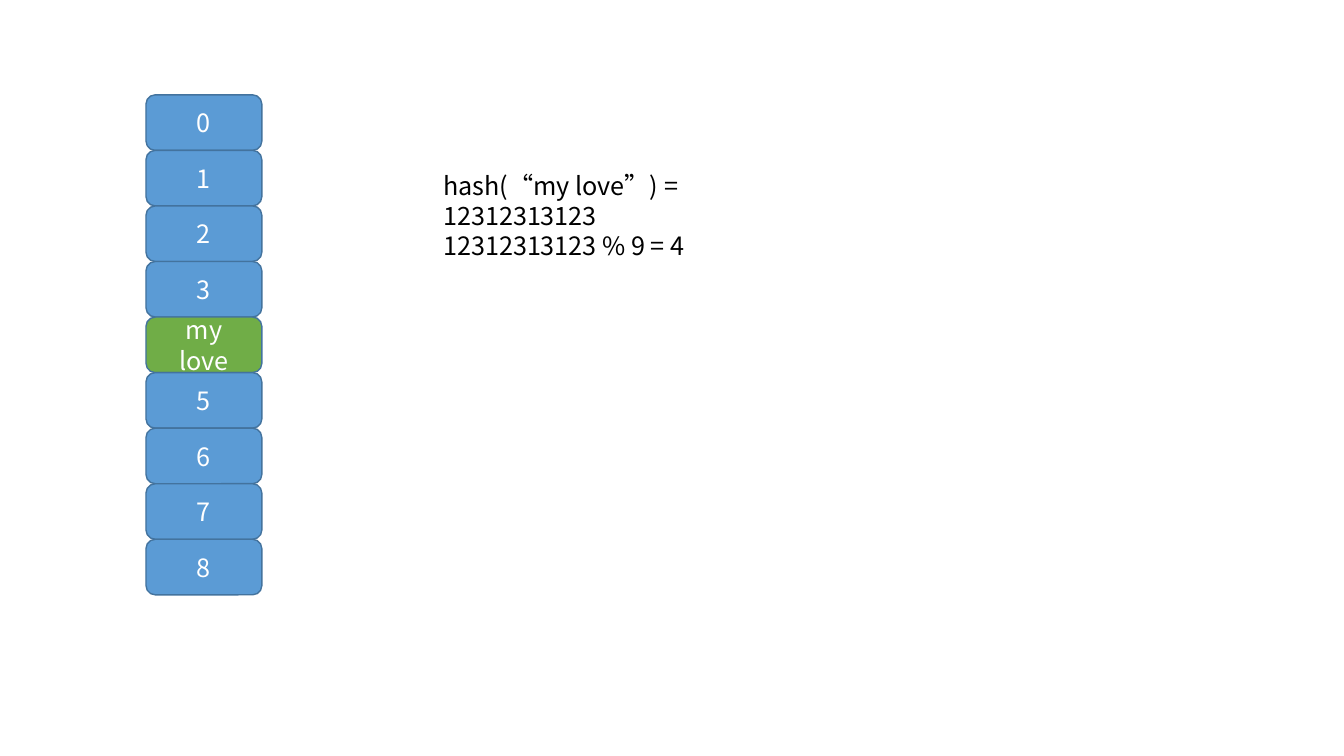
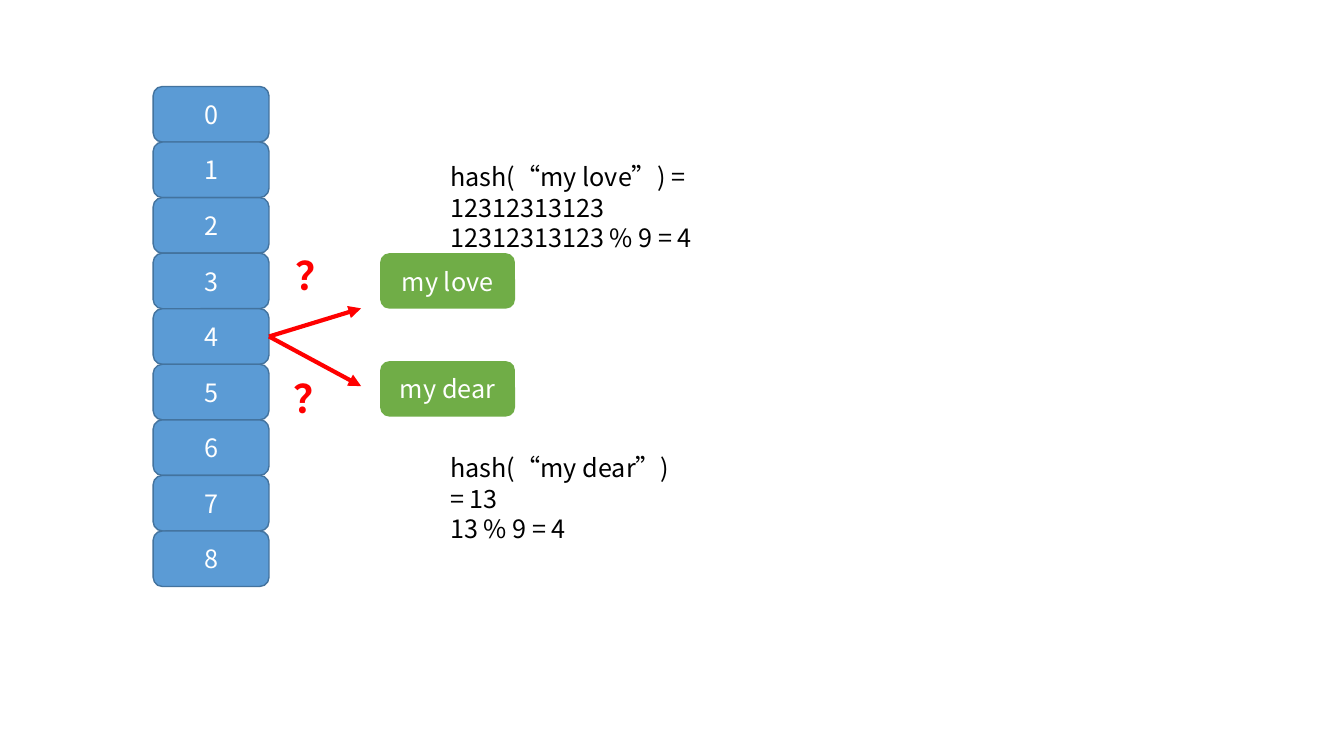
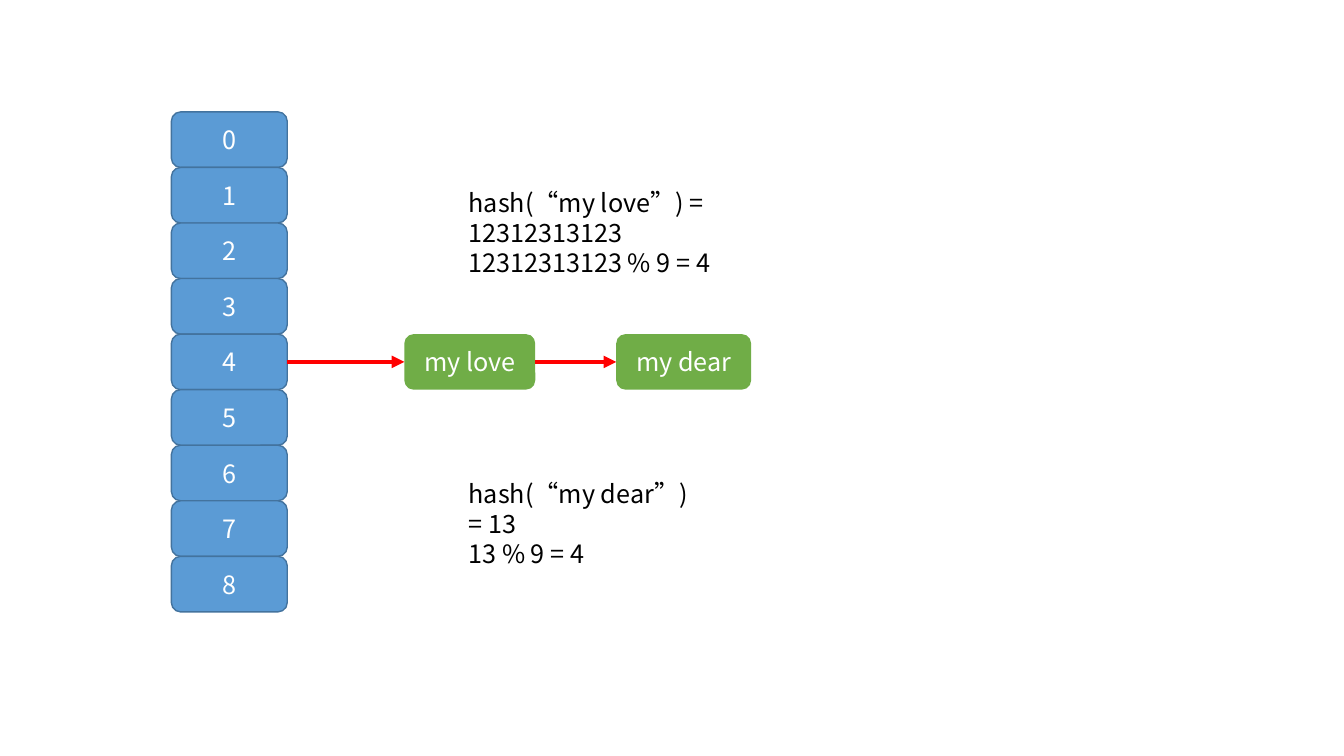
from dataclasses import dataclass

from lxml import etree
from pptx import Presentation
from pptx.dml.color import RGBColor
from pptx.enum.lang import MSO_LANGUAGE_ID
from pptx.enum.shapes import MSO_CONNECTOR, MSO_SHAPE
from pptx.enum.text import MSO_ANCHOR, MSO_AUTO_SIZE, PP_ALIGN
from pptx.oxml.ns import qn
from pptx.util import Cm, Pt

ROUND = MSO_SHAPE.ROUNDED_RECTANGLE
LINE = MSO_CONNECTOR.STRAIGHT
MID, TOP = MSO_ANCHOR.MIDDLE, MSO_ANCHOR.TOP
MIDDLE, LEFT = PP_ALIGN.CENTER, PP_ALIGN.LEFT
GROW = MSO_AUTO_SIZE.SHAPE_TO_FIT_TEXT

# Shared look
FONT = "Noto Sans CJK SC"
COLORS = {
    "slot": "5B9BD5",
    "edge": "43739E",
    "item": "70AD47",
    "mark": "FF0000",
    "light": "FFFFFF",
    "dark": "000000",
}
FORMATS = {
    "plain": {"name": FONT, "size": Pt(18), "bold": False},
    "mark": {"name": FONT, "size": Pt(28), "bold": True},
}
LEADING = 1.2

# Shared sizes, in centimetres
SLOT_W, SLOT_H, SLOTS = 2.92, 1.4, 9
NOTE_X, NOTE_Y = 7.24, 1.77


@dataclass(frozen=True)
class Box:
    x: float
    y: float
    w: float
    text: str
    fill: str = "item"
    edge: bool = False


@dataclass(frozen=True)
class Note:
    x: float
    y: float
    w: float
    h: float
    lines: tuple[str, ...]
    style: str = "plain"
    color: str = "dark"


@dataclass(frozen=True)
class Arrow:
    x1: float
    y1: float
    x2: float
    y2: float


@dataclass(frozen=True)
class Table:
    """The column of hash slots, which the rest is placed by."""
    x: float
    y: float

    @property
    def right(self) -> float:
        return self.x + SLOT_W

    def row(self, i: int) -> float:
        return self.y + i * SLOT_H

    def boxes(self, filled: dict[int, str]) -> list[Box]:
        return [Box(self.x, self.row(i), SLOT_W, filled.get(i, str(i)),
                    "item" if i in filled else "slot", True)
                for i in range(SLOTS)]

    def love(self) -> Note:
        return Note(self.x + NOTE_X, self.y + NOTE_Y, 9.27, 1.8,
                    ("hash(“my love”) = 12312313123", "12312313123 % 9 = 4"))

    def dear(self) -> Note:
        return Note(self.x + NOTE_X, self.y + 9.1, 6.35, 1.8,
                    ("hash(“my dear”) = 13", "13 % 9 = 4"))


def rgb(key: str) -> RGBColor:
    return RGBColor.from_string(COLORS[key])


def write(frame, lines: tuple[str, ...], style: str, color: str, align) -> None:
    form = FORMATS[style]
    for i, line in enumerate(lines):
        para = frame.add_paragraph() if i else frame.paragraphs[0]
        para.alignment = align
        para.line_spacing = Pt(form["size"].pt * LEADING)
        run = para.add_run()
        run.text = line
        for key, value in form.items():
            setattr(run.font, key, value)
        run.font.color.rgb = rgb(color)
        run.font.language_id = MSO_LANGUAGE_ID.SIMPLIFIED_CHINESE
        # East Asian face for quotes and wide marks
        face = etree.SubElement(run.font._element, qn("a:ea"))
        face.set("typeface", FONT)


def draw_box(slide, box: Box) -> None:
    shape = slide.shapes.add_shape(
        ROUND, Cm(box.x), Cm(box.y), Cm(box.w), Cm(SLOT_H))
    shape.shadow.inherit = False
    shape.fill.solid()
    shape.fill.fore_color.rgb = rgb(box.fill)
    if box.edge:
        shape.line.color.rgb = rgb("edge")
        shape.line.width = Pt(1)
    else:
        shape.line.fill.background()
    shape.text_frame.word_wrap = True
    shape.text_frame.vertical_anchor = MID
    write(shape.text_frame, (box.text,), "plain", "light", MIDDLE)


def draw_note(slide, note: Note) -> None:
    area = slide.shapes.add_textbox(
        Cm(note.x), Cm(note.y), Cm(note.w), Cm(note.h))
    frame = area.text_frame
    frame.word_wrap = True
    frame.auto_size = GROW
    frame.vertical_anchor = TOP
    write(frame, note.lines, note.style, note.color, LEFT)


def draw_arrow(slide, arrow: Arrow) -> None:
    link = slide.shapes.add_connector(
        LINE, Cm(arrow.x1), Cm(arrow.y1), Cm(arrow.x2), Cm(arrow.y2))
    link.line.color.rgb = rgb("mark")
    link.line.width = Pt(3)
    props = link._element.spPr
    tip = etree.SubElement(props.find(qn("a:ln")), qn("a:tailEnd"))
    tip.set("type", "triangle")
    etree.SubElement(props, qn("a:effectLst"))


DRAW = {Box: draw_box, Note: draw_note, Arrow: draw_arrow}


def store() -> list:
    """One key lands in its slot."""
    table = Table(3.68, 2.39)
    return [table.love(), *table.boxes({4: "my love"})]


def clash() -> list:
    """Two keys want the same slot."""
    table = Table(3.86, 2.18)
    mid = table.row(4) + SLOT_H / 2
    parts = table.boxes({})
    for text, y, end in (("my love", table.row(3), 7.77),
                         ("my dear", 9.1, 9.73)):
        parts += [Box(9.58, y, 3.4, text), Arrow(table.right, mid, 9.1, end)]
    for x, y in ((7.19, 6.22), (7.14, 9.32)):
        parts.append(Note(x, y, 2.39, 1.45, ("？",), "mark", "mark"))
    return parts + [table.love(), table.dear()]


def chain() -> list:
    """Both keys hang from the slot in a list."""
    table = Table(4.32, 2.82)
    top = table.row(4)
    mid = top + SLOT_H / 2
    parts, start = table.boxes({}), table.right
    for text, x, w in (("my love", 10.19, 3.3), ("my dear", 15.53, 3.4)):
        parts += [Box(x, top, w, text), Arrow(start, mid, x, mid)]
        start = x + w
    return parts + [table.love(), table.dear()]


def main() -> None:
    deck = Presentation()
    deck.slide_width, deck.slide_height = Cm(33.87), Cm(19.05)
    blank = deck.slide_layouts[6]
    for parts in (store(), clash(), chain()):
        slide = deck.slides.add_slide(blank)
        for part in parts:
            DRAW[type(part)](slide, part)
    deck.save("out.pptx")


if __name__ == "__main__":
    main()
